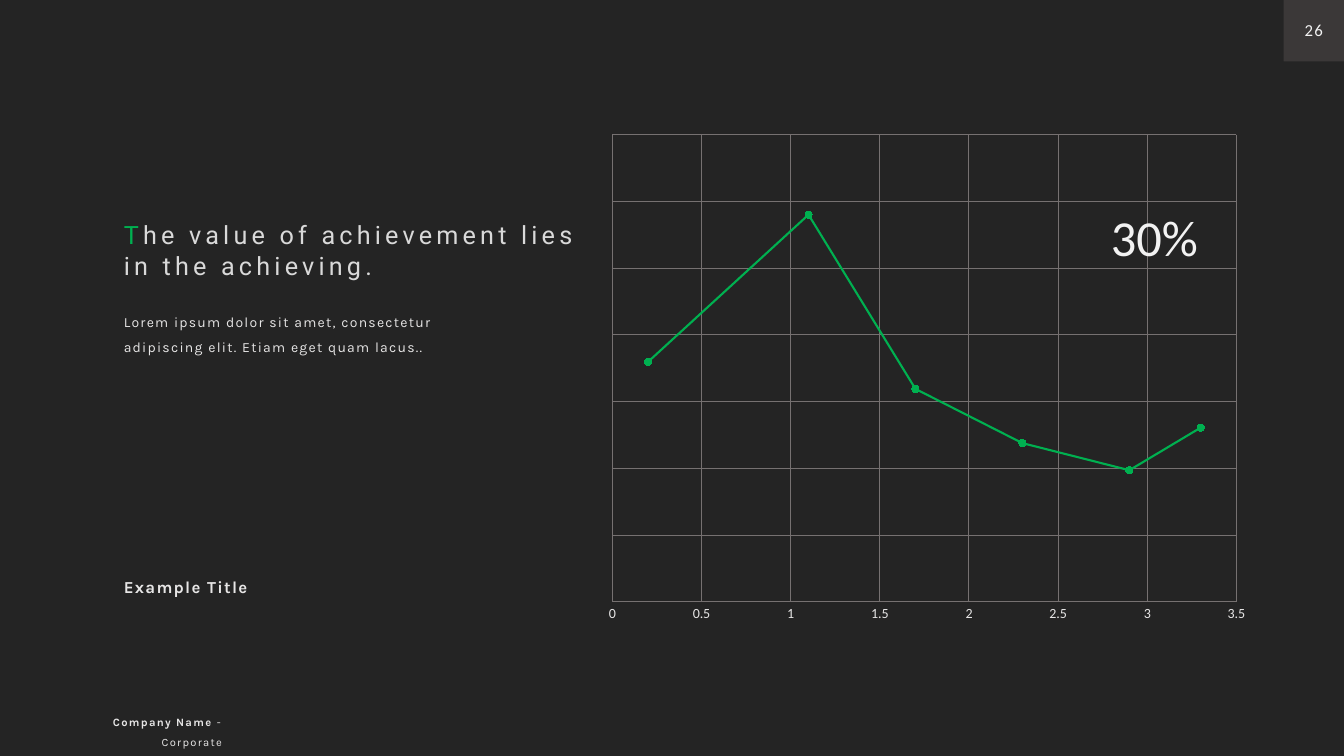
from lxml.etree import SubElement
from pptx import Presentation
from pptx.chart.data import XyChartData
from pptx.dml.color import RGBColor
from pptx.enum.chart import XL_CHART_TYPE, XL_MARKER_STYLE, XL_TICK_LABEL_POSITION, XL_TICK_MARK
from pptx.enum.shapes import MSO_SHAPE
from pptx.enum.text import MSO_ANCHOR, MSO_AUTO_SIZE, PP_ALIGN
from pptx.oxml.ns import qn
from pptx.util import Inches, Pt

BACKGROUND = RGBColor(0x24, 0x24, 0x24)
GREEN = RGBColor(0x00, 0xB0, 0x50)
GRID_GRAY = RGBColor(0x76, 0x71, 0x71)
TITLE_GRAY = RGBColor(0xD9, 0xD9, 0xD9)
TEXT_GRAY = RGBColor(0xE7, 0xE6, 0xE6)
NEAR_WHITE = RGBColor(0xF2, 0xF2, 0xF2)
BADGE_GRAY = RGBColor(0x3B, 0x38, 0x38)

POINTS = [(0.2, 62), (1.1, 100), (1.7, 55), (2.3, 41), (2.9, 34), (3.3, 45)]
ROW_STEP = 17.24
ROW_COUNT = 7
PLOT_LAYOUT = {"x": 0.025, "y": 0.021, "w": 0.942, "h": 0.92}


def add_text(slide, box, runs, font_name, size, spacing=0, line_spacing=None,
             align=PP_ALIGN.LEFT, anchor=MSO_ANCHOR.TOP, wrap=True):
    """Add a one-paragraph text box from (text, colour, bold) runs."""
    shape = slide.shapes.add_textbox(*(Inches(length) for length in box))
    frame = shape.text_frame
    frame.word_wrap = wrap
    frame.auto_size = MSO_AUTO_SIZE.SHAPE_TO_FIT_TEXT
    frame.vertical_anchor = anchor
    paragraph = frame.paragraphs[0]
    paragraph.alignment = align
    if line_spacing:
        paragraph.line_spacing = line_spacing
    paragraph.font.name = font_name
    paragraph.font.size = Pt(size)
    for text, color, bold in runs:
        run = paragraph.add_run()
        run.text = text
        run.font.color.rgb = color
        run.font.bold = bold
        if spacing:
            run._r.get_or_add_rPr().set("spc", str(round(spacing * 100)))


def add_page_badge(slide):
    """Add the square with the page number in the top right corner."""
    badge = slide.shapes.add_shape(
        MSO_SHAPE.RECTANGLE, Inches(12.73), Inches(0), Inches(0.61), Inches(0.61))
    badge.shadow.inherit = False
    badge.fill.solid()
    badge.fill.fore_color.rgb = BADGE_GRAY
    badge.line.fill.background()
    add_text(slide, (12.83, 0.15, 0.4, 0.3), [("26", NEAR_WHITE, False)], "Calibri", 12,
             spacing=0.9, align=PP_ALIGN.CENTER, anchor=MSO_ANCHOR.MIDDLE, wrap=False)


def style_line(line, color, width):
    """Give a line its colour and width."""
    line.color.rgb = color
    line.width = Pt(width)


def style_axis(axis, maximum, step):
    """Set the scale, ticks and gridlines of an axis."""
    axis.minimum_scale = 0
    axis.maximum_scale = maximum
    axis.major_unit = step
    axis.major_tick_mark = XL_TICK_MARK.NONE
    axis.minor_tick_mark = XL_TICK_MARK.NONE
    axis.has_major_gridlines = True
    style_line(axis.major_gridlines.format.line, GRID_GRAY, 0.75)


def set_plot_layout(chart):
    """Fix the inner plot area as fractions of the chart."""
    plot_area = chart._chartSpace.chart.plotArea
    layout = plot_area.find(qn("c:layout"))
    if layout is None:
        layout = plot_area.makeelement(qn("c:layout"), {})
        plot_area.insert(0, layout)
    manual = SubElement(layout, qn("c:manualLayout"))
    SubElement(manual, qn("c:layoutTarget"), val="inner")
    for key in ("x", "y"):
        SubElement(manual, qn(f"c:{key}Mode"), val="edge")
    for key, fraction in PLOT_LAYOUT.items():
        SubElement(manual, qn(f"c:{key}"), val=str(fraction))


def add_scatter_chart(slide):
    """Add the scatter chart with straight green lines."""
    data = XyChartData()
    points = data.add_series("Series 1")
    for x, y in POINTS:
        points.add_data_point(x, y)
    chart = slide.shapes.add_chart(
        XL_CHART_TYPE.XY_SCATTER_LINES, Inches(5.91), Inches(1.23),
        Inches(6.57), Inches(5.04), data).chart
    chart.has_legend = False
    chart.has_title = False
    chart.font.name = "Calibri"
    chart.font.size = Pt(10)
    chart.plots[0].vary_by_categories = False
    set_plot_layout(chart)

    style_axis(chart.category_axis, 3.5, 0.5)
    style_line(chart.category_axis.format.line, GRID_GRAY, 0.75)
    chart.category_axis.tick_label_position = XL_TICK_LABEL_POSITION.NEXT_TO_AXIS
    labels = chart.category_axis.tick_labels
    labels.number_format = "General"
    labels.number_format_is_linked = False
    labels.font.name = "Calibri"
    labels.font.size = Pt(10)
    labels.font.color.rgb = TEXT_GRAY
    style_axis(chart.value_axis, ROW_STEP * ROW_COUNT, ROW_STEP)
    chart.value_axis.visible = False

    series = chart.plots[0].series[0]
    series.smooth = False
    style_line(series.format.line, GREEN, 1.5)
    series.marker.style = XL_MARKER_STYLE.CIRCLE
    series.marker.size = 5
    series.marker.format.fill.solid()
    series.marker.format.fill.fore_color.rgb = GREEN
    style_line(series.marker.format.line, GREEN, 0.75)


def main():
    """Build the slide and save it."""
    presentation = Presentation()
    presentation.slide_width = Inches(13.33)
    presentation.slide_height = Inches(7.5)
    slide = presentation.slides.add_slide(presentation.slide_layouts[6])
    slide.background.fill.solid()
    slide.background.fill.fore_color.rgb = BACKGROUND

    add_scatter_chart(slide)
    add_text(slide, (1.13, 2.13, 4.9, 0.71),
             [("T", GREEN, False),
              ("he value of achievement lies in the achieving.", TITLE_GRAY, False)],
             "Roboto", 18, spacing=3)
    add_text(slide, (1.13, 2.98, 3.57, 0.57),
             [("Lorem ipsum dolor sit amet, consectetur adipiscing elit. "
               "Etiam eget quam lacus..", TEXT_GRAY, False)],
             "Karla", 10, spacing=0.9, line_spacing=1.5)
    add_text(slide, (1.13, 5.57, 2.15, 0.37), [("Example Title", TEXT_GRAY, True)],
             "Karla", 12, spacing=0.9, line_spacing=1.5)
    add_text(slide, (10.92, 2, 1.38, 0.71), [("30%", NEAR_WHITE, False)],
             "Calibri", 36, wrap=False)
    add_page_badge(slide)
    add_text(slide, (0.47, 6.98, 1.83, 0.28),
             [("Company Name ", TEXT_GRAY, True), ("- Corporate", TEXT_GRAY, False)],
             "Karla", 8, spacing=0.9, line_spacing=1.5, align=PP_ALIGN.RIGHT)
    presentation.save("out.pptx")


if __name__ == "__main__":
    main()
